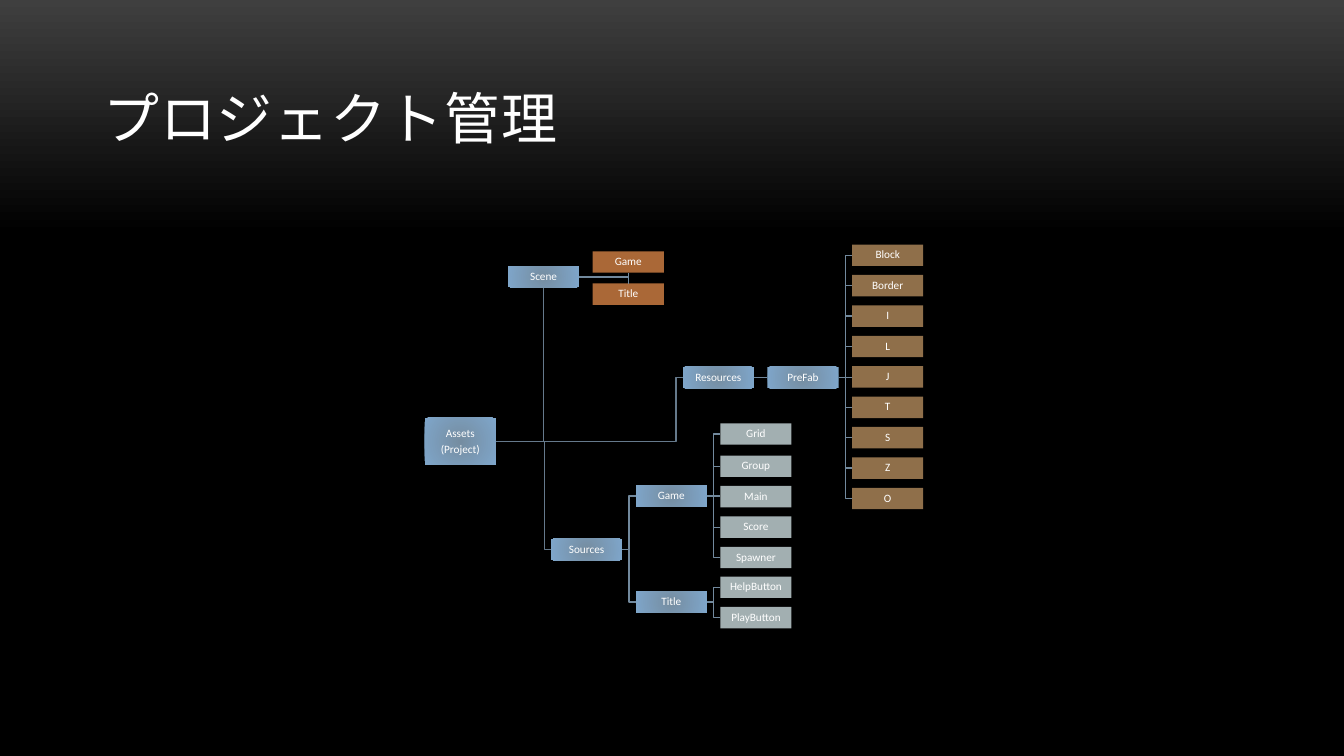
import collections

import lxml.etree
import pptx
import pptx.dml.color
import pptx.enum.shapes
import pptx.enum.text
import pptx.oxml
import pptx.oxml.ns
import pptx.util

Inches = pptx.util.Inches
Pt = pptx.util.Pt
Box = collections.namedtuple("Box", "left top width height")

FONT = "Calibri"
WHITE = "FFFFFF"
FOLDER = ("758DA1", "7FA6CA")
PREFAB = "8F6F4A"
SCRIPT = "A2AFB1"
SCENE = "AA6837"
TRUNK = "65798B"
BRANCH = "72899D"

NODE_WIDTH, NODE_HEIGHT = 0.53, 0.16
ROOT_HEIGHT = 0.35
ELBOW = 0.05
PITCH = (3.63 - 1.82) / 8


def color(value):
    return pptx.dml.color.RGBColor.from_string(value)


def set_gradient(fill, stops):
    fill.gradient()
    for stop, (position, value) in zip(fill.gradient_stops, stops):
        stop.position = position
        stop.color.rgb = color(value)


def make_radial(shape):
    """Turn the linear gradient of a shape into one centred on its lower right corner."""
    linear = shape._element.spPr.find(".//" + pptx.oxml.ns.qn("a:lin"))
    radial = lxml.etree.Element(pptx.oxml.ns.qn("a:path"), path="circle")
    lxml.etree.SubElement(
        radial, pptx.oxml.ns.qn("a:fillToRect"),
        l="100000", t="100000", r="100000", b="100000")
    linear.getparent().replace(linear, radial)


def format_run(run, size):
    run.font.name = FONT
    run.font.size = Pt(size)
    run.font.color.rgb = color(WHITE)


def add_title(page, box, text):
    title = page.shapes.add_textbox(*map(Inches, box))
    frame = title.text_frame
    frame.word_wrap = True
    frame.vertical_anchor = pptx.enum.text.MSO_ANCHOR.BOTTOM
    frame.text = text
    run = frame.paragraphs[0].runs[0]
    format_run(run, 30)
    run.font._element.set("spc", "50")


def add_node(page, box, text, fill):
    """Draw a labelled node; a pair of colours gives a gradient."""
    node = page.shapes.add_shape(
        pptx.enum.shapes.MSO_SHAPE.RECTANGLE, *map(Inches, box))
    node.shadow.inherit = False
    node.line.fill.background()
    if isinstance(fill, tuple):
        set_gradient(node.fill, zip((0, 1), fill))
        make_radial(node)
    else:
        node.fill.solid()
        node.fill.fore_color.rgb = color(fill)
    frame = node.text_frame
    frame.margin_left = frame.margin_right = 0
    frame.margin_top = frame.margin_bottom = 0
    frame.vertical_anchor = pptx.enum.text.MSO_ANCHOR.MIDDLE
    frame.text = text
    for para in frame.paragraphs:
        para.alignment = pptx.enum.text.PP_ALIGN.CENTER
        para.line_spacing = 0.9
        para.space_after = Pt(2.1)
        format_run(para.runs[0], 6)
    return box


def add_route(page, points, stroke):
    """Draw a straight connector for two points, else an open polyline."""
    points = [(Inches(x), Inches(y)) for x, y in points]
    if len(points) == 2:
        route = page.shapes.add_connector(
            pptx.enum.shapes.MSO_CONNECTOR.STRAIGHT, *points[0], *points[1])
        route._element.spPr.append(pptx.oxml.parse_xml(
            "<a:effectLst %s/>" % pptx.oxml.ns.nsdecls("a")))
    else:
        builder = page.shapes.build_freeform(*points[0])
        builder.add_line_segments(points[1:], close=False)
        route = builder.convert_to_shape()
        route.fill.background()
        route.shadow.inherit = False
    route.line.color.rgb = color(stroke)
    route.line.width = Pt(0.75)


def middle(box):
    return box.top + box.height / 2


def link(page, parent, child, stroke=BRANCH):
    start = (parent.left + parent.width, middle(parent))
    end = (child.left, middle(child))
    bus = child.left - ELBOW
    if abs(start[1] - end[1]) < 0.02:
        add_route(page, [start, (end[0], start[1])], stroke)
    else:
        add_route(page, [start, (bus, start[1]), (bus, end[1]), end], stroke)


def add_tree(page, box):
    def node(left, top, text, fill=FOLDER, height=NODE_HEIGHT):
        place = Box(box.left + left, box.top + top, NODE_WIDTH, height)
        return add_node(page, place, text, fill)

    def leaves(parent, left, top, names, fill):
        for row, name in enumerate(names):
            link(page, parent, node(left, top + row * PITCH, name, fill))

    root = node(0, 1.29, "Assets\n(Project)", height=ROOT_HEIGHT)

    scene = node(0.62, 0.16, "Scene")
    trunk_x = scene.left + scene.width / 2
    add_route(page, [(root.left + root.width, middle(root)), (trunk_x, middle(root)),
                     (trunk_x, scene.top + scene.height)], TRUNK)
    for top, name, edge in ((0.05, "Game", NODE_HEIGHT), (0.29, "Title", 0)):
        leaf = node(1.25, top, name, SCENE)
        center = leaf.left + leaf.width / 2
        add_route(page, [(scene.left + scene.width, middle(scene)),
                         (center, middle(scene)), (center, leaf.top + edge)], BRANCH)

    resources = node(1.92, 0.91, "Resources")
    link(page, root, resources, TRUNK)
    prefab = node(2.55, 0.91, "PreFab")
    link(page, resources, prefab)
    leaves(prefab, 3.18, 0,
           ["Block", "Border", "I", "L", "J", "T", "S", "Z", "O"], PREFAB)

    sources = node(0.94, 2.19, "Sources")
    link(page, root, sources, TRUNK)
    game = node(1.57, 1.79, "Game")
    title = node(1.57, 2.58, "Title")
    for folder in (game, title):
        link(page, sources, folder)
    leaves(game, 2.2, 1.33, ["Grid"], SCRIPT)
    leaves(game, 2.2, 1.57, ["Group", "Main", "Score", "Spawner"], SCRIPT)
    leaves(title, 2.2, 2.47, ["HelpButton", "PlayButton"], SCRIPT)


def main():
    deck = pptx.Presentation()
    deck.slide_width = Inches(10)
    deck.slide_height = deck.slide_width * 9 // 16
    page = deck.slides.add_slide(deck.slide_layouts[6])
    backdrop = page.background.fill
    set_gradient(backdrop, [(0, "3F3F3F"), (0.31, "000000")])
    backdrop.gradient_angle = 270
    add_title(page, Box(0.67, 0.23, 8.67, 0.94), "プロジェクト管理")
    add_tree(page, Box(3.16, 1.82, 3.71, 2.86))
    deck.save("out.pptx")


if __name__ == "__main__":
    main()
